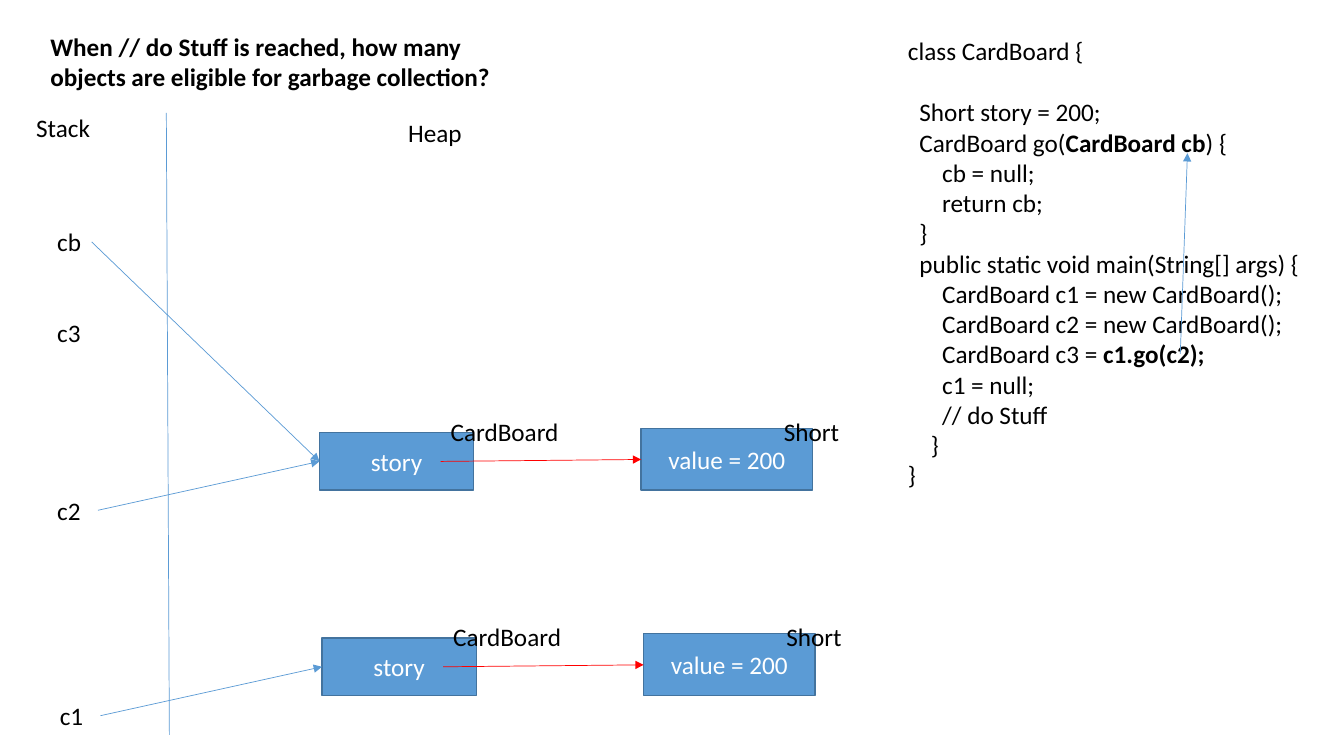
import pptx
import pptx.util
import pptx.dml.color
import pptx.enum.shapes
import pptx.enum.text
import pptx.oxml.ns
import lxml.etree
from dataclasses import dataclass

Pt = pptx.util.Pt
Align = pptx.enum.text.PP_ALIGN
Anchor = pptx.enum.text.MSO_ANCHOR
qn = pptx.oxml.ns.qn


@dataclass
class Theme:
    font: str = "Calibri"
    size: float = 18
    step: float = 22
    thin: float = 0.5
    edge: float = 1
    ink: str = "000000"
    pale: str = "FFFFFF"
    blue: str = "5B9BD5"
    dark: str = "43739E"
    red: str = "FF0000"


class Sheet:
    def __init__(self, slide, theme):
        self.slide, self.theme = slide, theme

    def color(self, name):
        return pptx.dml.color.RGBColor.from_string(name)

    def fill_text(self, frame, lines, ink, align=Align.LEFT, anchor=Anchor.TOP):
        """Each line is (indent, space before, [(text, bold), ...])."""
        frame.word_wrap = True
        frame.auto_size = pptx.enum.text.MSO_AUTO_SIZE.NONE
        frame.vertical_anchor = anchor
        for i, (indent, before, runs) in enumerate(lines):
            para = frame.add_paragraph() if i else frame.paragraphs[0]
            para.alignment = align
            para.line_spacing = 1.0
            para.space_before = Pt(before)
            if indent:
                para._p.get_or_add_pPr().set("marL", str(Pt(indent)))
            for text, bold in runs:
                run = para.add_run()
                run.text = text
                run.font.name = self.theme.font
                run.font.size = Pt(self.theme.size)
                run.font.bold = bold
                run.font.color.rgb = self.color(ink)

    def title(self, x, y, w, h, texts):
        head = self.slide.shapes.title
        head.left, head.top, head.width, head.height = map(Pt, (x, y, w, h))
        self.fill_text(head.text_frame, [(0, 0, [(t, True)]) for t in texts],
                       self.theme.ink)

    def block(self, x, y, w, h, lines):
        box = self.slide.shapes.add_textbox(*map(Pt, (x, y, w, h)))
        self.fill_text(box.text_frame, lines, self.theme.ink)

    def label(self, x, y, w, text):
        self.block(x, y, w, 29, [(0, 0, [(text, False)])])

    def rect(self, x, y, w, h, text):
        kind = pptx.enum.shapes.MSO_SHAPE.RECTANGLE
        box = self.slide.shapes.add_shape(kind, *map(Pt, (x, y, w, h)))
        box.shadow.inherit = False
        box.fill.solid()
        box.fill.fore_color.rgb = self.color(self.theme.blue)
        box.line.color.rgb = self.color(self.theme.dark)
        box.line.width = Pt(self.theme.edge)
        self.fill_text(box.text_frame, [(0, 0, [(text, False)])],
                       self.theme.pale, Align.CENTER, Anchor.MIDDLE)

    def line(self, x1, y1, x2, y2, ink, arrow=True):
        kind = pptx.enum.shapes.MSO_CONNECTOR.STRAIGHT
        link = self.slide.shapes.add_connector(kind, *map(Pt, (x1, y1, x2, y2)))
        link.line.color.rgb = self.color(ink)
        link.line.width = Pt(self.theme.thin)
        props = link.element.spPr
        if arrow:
            tail = lxml.etree.SubElement(props.find(qn("a:ln")), qn("a:tailEnd"))
            tail.set("type", "triangle")
        lxml.etree.SubElement(props, qn("a:effectLst"))


theme = Theme()
deck = pptx.Presentation()
deck.slide_width, deck.slide_height = Pt(960), Pt(540)
sheet = Sheet(deck.slides.add_slide(deck.slide_layouts[5]), theme)

# Question
sheet.title(28.8, 18.7, 335, 73, ["When // do Stuff is reached, how many",
                                  "objects are eligible for garbage collection?"])

# Code listing
code = [
    (0, 0, [("class CardBoard {", False)]),
    (8.2, theme.step, [("Short story = 200;", False)]),
    (8.2, 0, [("CardBoard go(", False), ("CardBoard cb", True), (") {", False)]),
    (24.4, 0, [("cb = null;", False)]),
    (24.4, 0, [("return cb;", False)]),
    (8.2, 0, [("}", False)]),
    (8.2, 0, [("public static void main(String[] args) {", False)]),
    (24.4, 0, [("CardBoard c1 = new CardBoard();", False)]),
    (24.4, 0, [("CardBoard c2 = new CardBoard();", False)]),
    (24.4, 0, [("CardBoard c3 = ", False), ("c1.go(c2);", True)]),
    (24.4, 0, [("c1 = null;", False)]),
    (24.4, 0, [("// do Stuff", False)]),
    (16.3, 0, [("}", False)]),
    (0, 0, [("}", False)]),
]
sheet.block(641.5, theme.step, 302, 334, code)
sheet.line(843.1, 252.7, 848.2, 109.4, theme.blue)

# Stack and heap areas
sheet.line(118.8, 80.6, 121, 524.9, theme.blue, arrow=False)
sheet.label(18.7, 77, 65, "Stack")
sheet.label(284.4, 80.6, 65, "Heap")

# Objects on the heap, each with the variable that refers to it
for name, dx, dy in (("c1", 1.8, 146.7), ("c2", 0, 0)):
    sheet.label(33.8 + dx, 350 + dy, 37, name)
    sheet.rect(228.2 + dx, 309 + dy, 110.2, 41, "story")
    sheet.label(314.8 + dx, 293.8 + dy, 96, "CardBoard")
    sheet.rect(458 + dx, 306 + dy, 122.4, 44, "value = 200")
    sheet.label(552.8 + dx, 293.8 + dy, 57, "Short")
    sheet.line(314.8 + dx, 329.6 + dy, 458 + dx, 328.2 + dy, theme.red)
    sheet.line(70 + dx, 364.5 + dy, 228.2 + dx, 329.6 + dy, theme.blue)

# Remaining variables
sheet.label(33.8, 223.2, 37, "c3")
sheet.label(33.8, 158.4, 34, "cb")
sheet.line(65.5, 172.8, 228.2, 329.6, theme.blue)

deck.save("out.pptx")
